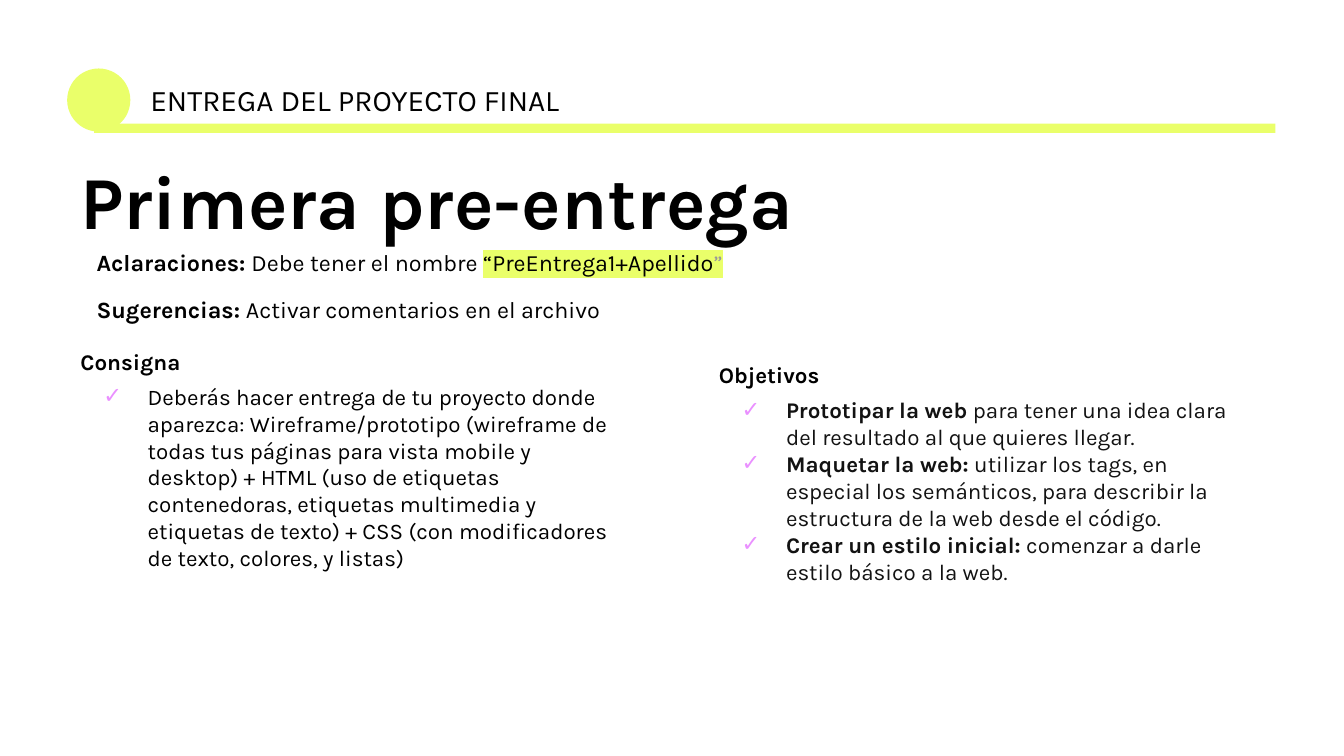
from dataclasses import dataclass

from lxml import etree
from pptx import Presentation
from pptx import util as u
from pptx.dml.color import RGBColor
from pptx.enum import shapes, text
from pptx.oxml.ns import qn


@dataclass(frozen=True)
class Theme:
    font: str = "Karla"
    ink: str = "000000"
    soft_ink: str = "121212"
    muted: str = "999999"
    accent: str = "EAFF6A"
    check: str = "EA90FF"
    title: float = 40
    section: float = 16
    notes: float = 12.5
    body: float = 12


def add_color(parent, tag, color):
    el = etree.SubElement(parent, qn(tag))
    etree.SubElement(el, qn("a:srgbClr")).set("val", color)
    return el


class SlideBuilder:
    def __init__(self, prs, theme):
        self.theme = theme
        self.slide = prs.slides.add_slide(prs.slide_layouts[6])

    def shape(self, kind, *box):
        sp = self.slide.shapes.add_shape(kind, *map(u.Inches, box))
        sp.shadow.inherit = False
        sp.fill.solid()
        sp.fill.fore_color.rgb = RGBColor.from_string(self.theme.accent)
        sp.line.fill.background()

    def text_box(self, *box):
        tf = self.slide.shapes.add_textbox(*map(u.Inches, box)).text_frame
        tf.word_wrap = True
        tf.auto_size = text.MSO_AUTO_SIZE.SHAPE_TO_FIT_TEXT
        tf.margin_left = tf.margin_right = u.Inches(0.1)
        tf.margin_top = tf.margin_bottom = u.Inches(0.1)
        return tf

    def run(self, p, words, size, bold=False, color=None, highlight=None):
        r = p.add_run()
        r.text = words
        font = r.font
        font.size, font.bold, font.name = u.Pt(size), bold, self.theme.font
        font.color.rgb = RGBColor.from_string(color or self.theme.ink)
        if highlight:
            rPr = r._r.get_or_add_rPr()
            mark = add_color(rPr, "a:highlight", highlight)
            rPr.find(qn("a:solidFill")).addnext(mark)

    def line(self, box, words, size, bold=False, spacing=None):
        p = self.text_box(*box).paragraphs[0]
        p.line_spacing = spacing
        self.run(p, words, size, bold)

    def check_list(self, box, heading, items, color):
        """Bold heading over check-marked items, each a (bold lead, rest) pair."""
        size = self.theme.body
        tf = self.text_box(*box)
        p = tf.paragraphs[0]
        p.space_after = u.Pt(4.25)
        self.run(p, heading, size, bold=True)
        for lead, rest in items:
            p = tf.add_paragraph()
            pPr = p._p.get_or_add_pPr()
            pPr.set("marL", str(u.Inches(0.5)))
            pPr.set("indent", str(u.Inches(-0.33)))
            add_color(pPr, "a:buClr", self.theme.check)
            etree.SubElement(pPr, qn("a:buFont")).set("typeface", self.theme.font)
            etree.SubElement(pPr, qn("a:buChar")).set("char", "✓")
            if lead:
                self.run(p, lead, size, bold=True, color=color)
            self.run(p, rest, size, color=color)

    def notes(self, box):
        t = self.theme
        tf = self.text_box(*box)
        p = tf.paragraphs[0]
        self.run(p, "Aclaraciones: ", t.notes, bold=True)
        self.run(p, "Debe tener el nombre ", t.notes)
        self.run(p, "“PreEntrega1+Apellido", t.notes, highlight=t.accent)
        self.run(p, "”", t.notes, color=t.muted, highlight=t.accent)
        p = tf.add_paragraph()
        p.space_before = p.space_after = u.Pt(10)
        self.run(p, "Sugerencias: ", t.notes, bold=True)
        self.run(p, "Activar comentarios en el archivo", t.notes)


ASSIGNMENT = [
    ("", "Deberás hacer entrega de tu proyecto donde aparezca: Wireframe/prototipo "
         "(wireframe de todas tus páginas para vista mobile y desktop) + HTML (uso de "
         "etiquetas contenedoras, etiquetas multimedia y etiquetas de texto) + CSS "
         "(con modificadores de texto, colores, y listas)"),
]
GOALS = [
    ("Prototipar la web",
     " para tener una idea clara del resultado al que quieres llegar."),
    ("Maquetar la web:",
     " utilizar los tags, en especial los semánticos, para describir la "
     "estructura de la web desde el código."),
    ("Crear un estilo inicial:", " comenzar a darle estilo básico a la web."),
]


def main():
    prs = Presentation()
    prs.slide_width = u.Inches(10)
    prs.slide_height = u.Inches(10 * 9 / 16)
    theme = Theme()
    s = SlideBuilder(prs, theme)
    s.shape(shapes.MSO_SHAPE.OVAL, 0.5, 0.51, 0.47, 0.47)
    s.line((0.5, 1.13, 7.99, 0.81), "Primera pre-entrega", theme.title,
           bold=True, spacing=0.9)
    s.line((1.02, 0.51, 3.5, 0.47), "ENTREGA DEL PROYECTO FINAL", theme.section)
    s.check_list((0.5, 2.49, 4.19, 2.11), "Consigna", ASSIGNMENT, theme.ink)
    s.shape(shapes.MSO_SHAPE.RECTANGLE, 0.7, 0.92, 8.79, 0.07)
    s.check_list((5.25, 2.59, 4.02, 1.88), "Objetivos", GOALS, theme.soft_ink)
    s.notes((0.62, 1.75, 8.12, 0.76))
    prs.save("out.pptx")


if __name__ == "__main__":
    main()
